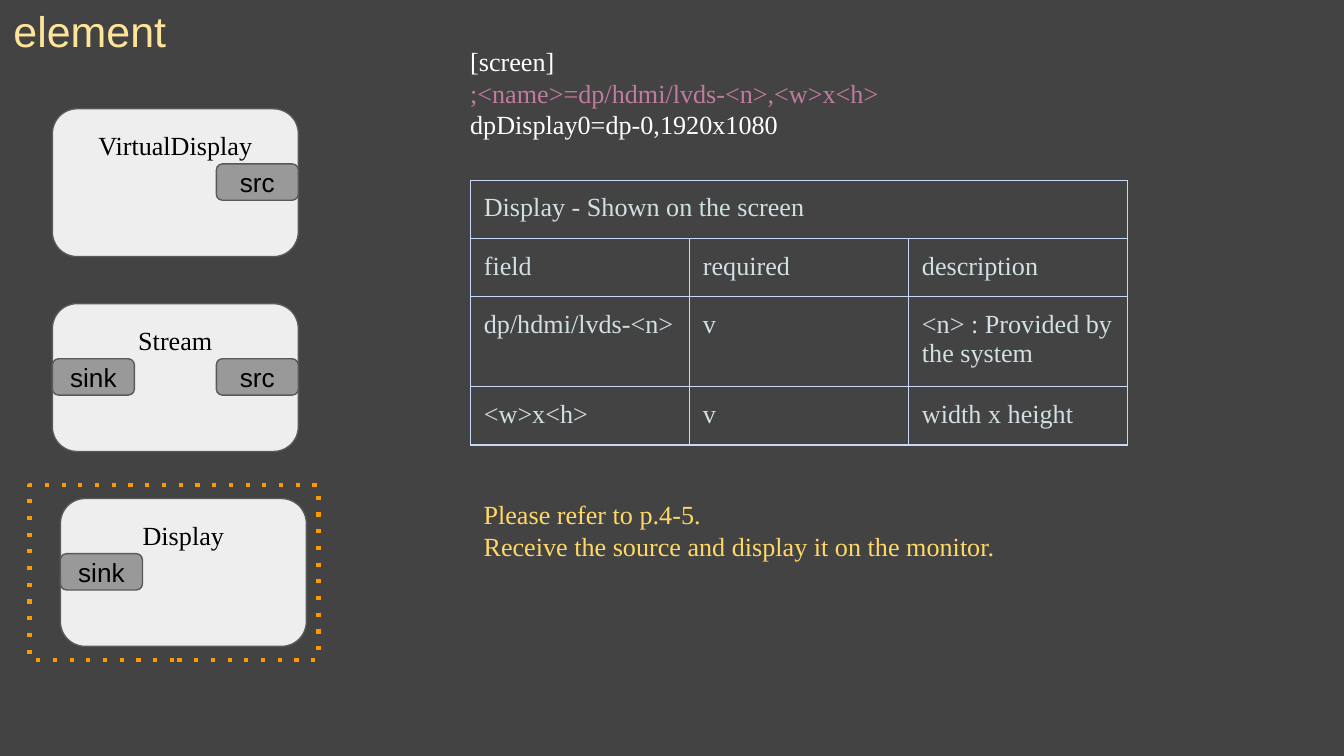
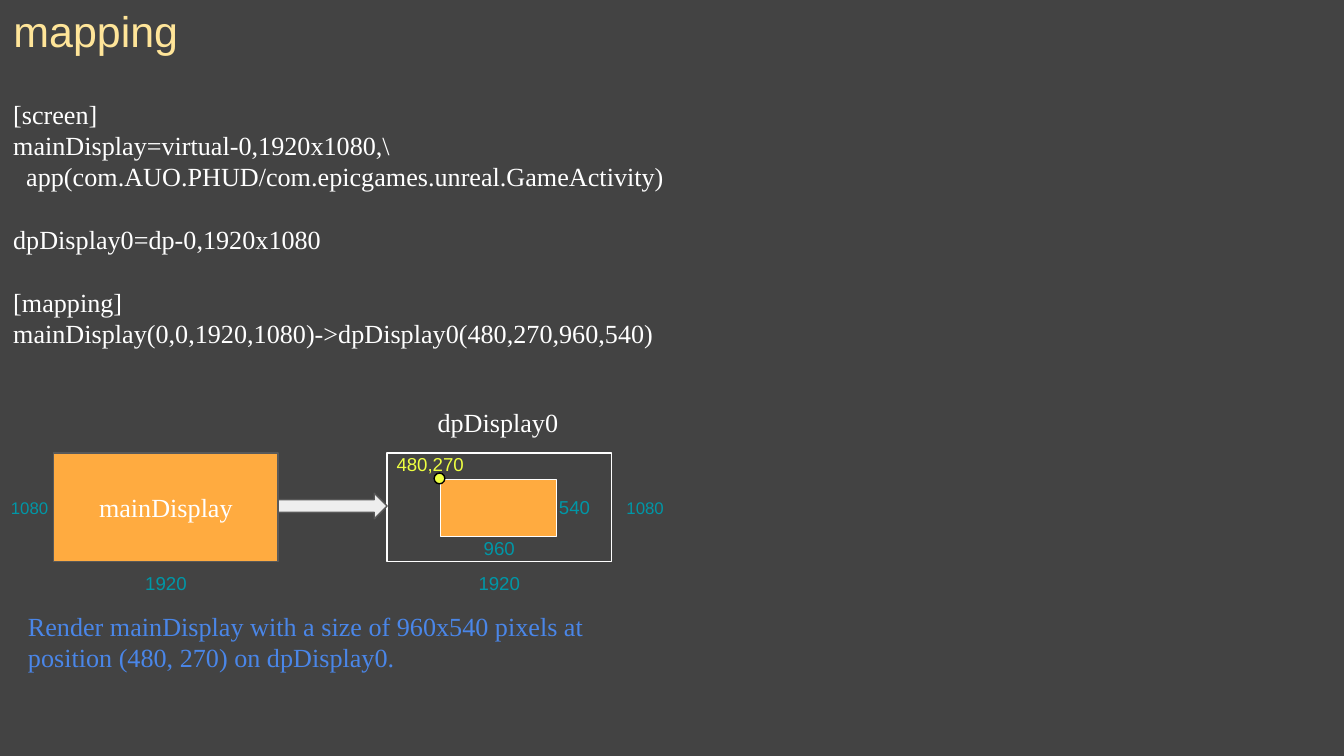
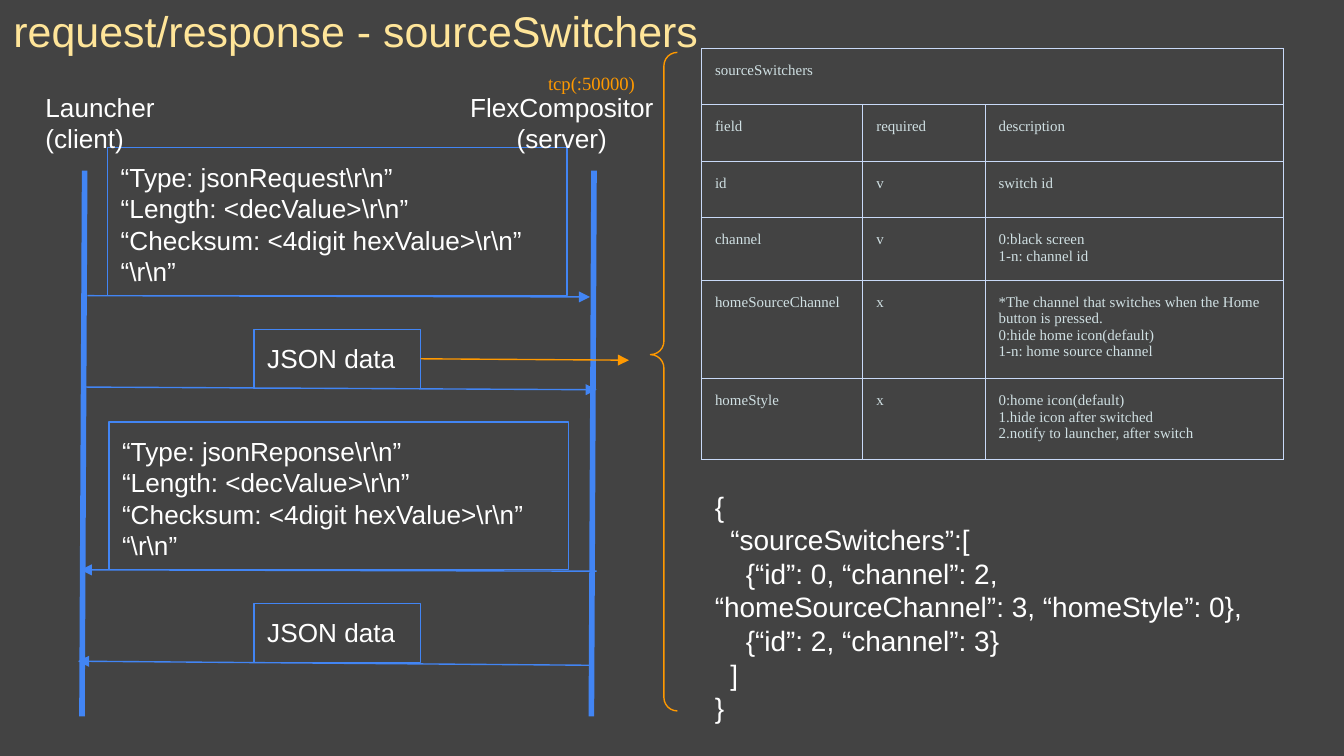
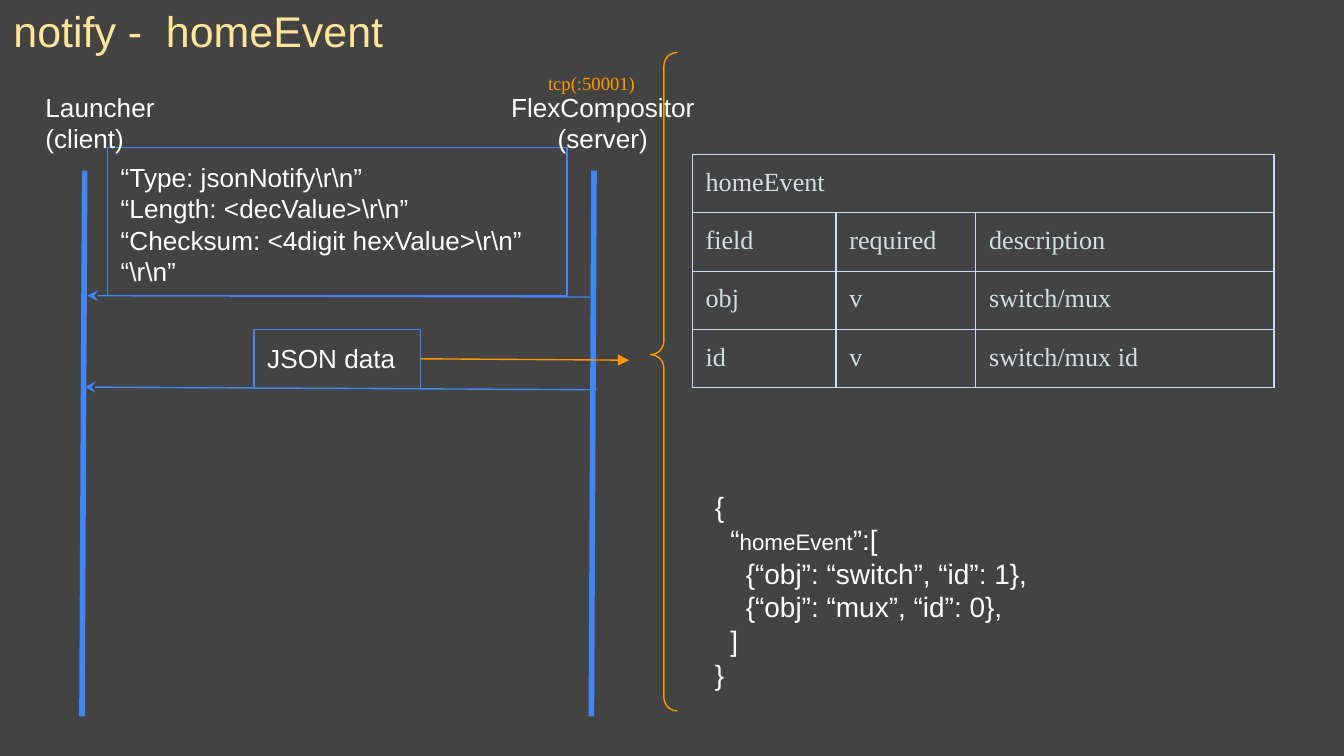
from lxml.etree import SubElement
from pptx import Presentation
from pptx.dml.color import RGBColor
from pptx.enum.shapes import MSO_CONNECTOR, MSO_SHAPE
from pptx.enum.text import MSO_ANCHOR, PP_ALIGN
from pptx.oxml.ns import qn
from pptx.util import Inches, Pt

SANS, SERIF = "Arial", "Times New Roman"
WHITE, BLACK, BACKDROP = "FFFFFF", "000000", "434343"
TITLE_YELLOW, NOTE_YELLOW, POINT_YELLOW = "FFE599", "FFD966", "EEFF41"
LIGHT, GREY, OUTLINE = "EEEEEE", "999999", "595959"
AMBER, ORANGE, PINK = "FFAB40", "FF9900", "C27BA0"
BLUE, CAPTION_BLUE, TEAL = "4285F4", "4A86E8", "0097A7"
TABLE_TEXT, TABLE_RULE = "D0E0E3", "C9DAF8"
LEFT, CENTER = PP_ALIGN.LEFT, PP_ALIGN.CENTER
TOP, MIDDLE = MSO_ANCHOR.TOP, MSO_ANCHOR.MIDDLE
MARGINS = {f"margin_{side}": Inches(0.1)
           for side in ("left", "right", "top", "bottom")}


def rgb(hex_color):
    return RGBColor.from_string(hex_color)


def apply(target, values):
    for name, value in values.items():
        setattr(target, name, value)


def inches(*lengths):
    return [Inches(length) for length in lengths]


# ---- Text ----

def write(frame, lines, size=14, font=SANS, color=WHITE, align=LEFT,
          anchor=TOP, gaps=()):
    """Each line is a string or a list of (text, size, color) runs.

    Lines whose index is in gaps stand one line lower.
    """
    apply(frame, {**MARGINS, "word_wrap": True, "vertical_anchor": anchor})
    for index, line in enumerate(lines):
        paragraph = frame.paragraphs[0] if index == 0 else frame.add_paragraph()
        apply(paragraph, {"alignment": align, "line_spacing": 1.0})
        if index in gaps:
            paragraph.space_before = Pt(size * 1.2)
        runs = [(line, size, color)] if isinstance(line, str) else line
        for text, run_size, run_color in runs:
            run = paragraph.add_run()
            run.text = text
            apply(run.font, {"size": Pt(run_size), "name": font})
            run.font.color.rgb = rgb(run_color)


def add_text(slide, box, lines, **style):
    write(slide.shapes.add_textbox(*inches(*box)).text_frame, lines, **style)


def add_titled_slide(prs, title, width):
    slide = prs.slides.add_slide(prs.slide_layouts[5])
    heading = slide.shapes.title
    apply(heading, dict(zip(("left", "top", "width", "height"),
                            inches(0, 0, width, 0.45))))
    write(heading.text_frame, [title], size=23, color=TITLE_YELLOW, anchor=MIDDLE)
    return slide


# ---- Shapes and lines ----

def add_line_detail(shape, tag, **attributes):
    outline = shape._element.spPr.find(qn("a:ln"))
    SubElement(outline, qn(tag), **attributes)


def set_outline(shape, color, width):
    shape.line.color.rgb = rgb(color)
    shape.line.width = Pt(width)


def add_block(slide, kind, box, fill=None, outline=OUTLINE, width=0.75, adjust=()):
    block = slide.shapes.add_shape(kind, *inches(*box))
    block.shadow.inherit = False
    for index, value in enumerate(adjust):
        block.adjustments[index] = value
    if fill:
        block.fill.solid()
        block.fill.fore_color.rgb = rgb(fill)
    else:
        block.fill.background()
    set_outline(block, outline, width)
    return block


def add_line(slide, start, end, color=BLUE, width=0.75, arrow=None):
    line = slide.shapes.add_connector(MSO_CONNECTOR.STRAIGHT,
                                      *inches(*start, *end))
    set_outline(line, color, width)
    if arrow:
        add_line_detail(line, "a:tailEnd", type=arrow)
    SubElement(line._element.spPr, qn("a:effectLst"))
    return line


# ---- Tables ----

def format_cell(cell):
    properties = cell._tc.get_or_add_tcPr()
    for side in ("L", "R", "T", "B"):
        border = SubElement(properties, qn(f"a:ln{side}"), w=str(Pt(0.75)))
        fill = SubElement(border, qn("a:solidFill"))
        SubElement(fill, qn("a:srgbClr"), val=TABLE_RULE)
    cell.fill.background()
    apply(cell, MARGINS)


def add_field_table(slide, corner, widths, heights, caption, fields, size=14):
    rows = [(caption, "", ""), ("field", "required", "description"), *fields]
    box = inches(*corner, sum(widths), sum(heights))
    table = slide.shapes.add_table(len(rows), len(widths), *box).table
    apply(table, {"first_row": False, "horz_banding": False})
    for column, width in zip(table.columns, widths):
        column.width = Inches(width)
    for row, height, texts in zip(table.rows, heights, rows):
        row.height = Inches(height)
        for cell, text in zip(row.cells, texts):
            format_cell(cell)
            if text:
                write(cell.text_frame, text.split("\n"), size=size, font=SERIF,
                      color=TABLE_TEXT)
    table.cell(0, 0).merge(table.cell(0, len(widths) - 1))


# ---- Element cards ----

def add_element_card(slide, left, top, name, ports):
    card = add_block(slide, MSO_SHAPE.ROUNDED_RECTANGLE, (left, top, 1.83, 1.1),
                     LIGHT, adjust=[0.167])
    write(card.text_frame, [name], font=SERIF, color=BLACK, align=CENTER)
    for port_name in ports:
        port_left = left + (1.22 if port_name == "src" else 0)
        port = add_block(slide, MSO_SHAPE.ROUNDED_RECTANGLE,
                         (port_left, top + 0.41, 0.61, 0.27), GREY, adjust=[0.167])
        write(port.text_frame, [port_name], color=BLACK, align=CENTER, anchor=MIDDLE)


def build_element(prs):
    slide = add_titled_slide(prs, "element", 2.15)
    cards = [(0.39, "VirtualDisplay", ["src"]),
             (0.39, "Stream", ["sink", "src"]),
             (0.45, "Display", ["sink"])]
    for index, (left, name, ports) in enumerate(cards):
        add_element_card(slide, left, 0.81 + 1.45 * index, name, ports)

    # Dotted frame around the element described here
    highlight = add_block(slide, MSO_SHAPE.RECTANGLE, (0.22, 3.61, 2.15, 1.3),
                          outline=ORANGE, width=2.25)
    add_line_detail(highlight, "a:prstDash", val="dot")

    add_text(slide, (3.4, 0.24, 6.26, 0.91),
             ["[screen]", [(";<name>=dp/hdmi/lvds-<n>,<w>x<h>", 14, PINK)],
              "dpDisplay0=dp-0,1920x1080"], font=SERIF)
    add_field_table(slide, (3.5, 1.34), [1.63] * 3, [0.43, 0.43, 0.67, 0.43],
                    "Display - Shown on the screen",
                    [("dp/hdmi/lvds-<n>", "v", "<n> : Provided by the system"),
                     ("<w>x<h>", "v", "width x height")])
    add_text(slide, (3.5, 3.61, 5.9, 0.67),
             ["Please refer to p.4-5.",
              "Receive the source and display it on the monitor."],
             font=SERIF, color=NOTE_YELLOW)


# ---- Mapping ----

def build_mapping(prs):
    slide = add_titled_slide(prs, "mapping", 2.15)
    add_text(slide, (0, 0.63, 6.83, 2.09),
             ["[screen]",
              "mainDisplay=virtual-0,1920x1080,\\",
              "  app(com.AUO.PHUD/com.epicgames.unreal.GameActivity)",
              "dpDisplay0=dp-0,1920x1080",
              "[mapping]",
              "mainDisplay(0,0,1920,1080)->dpDisplay0(480,270,960,540)"],
             font=SERIF, gaps=(3, 4))

    # Source display, target display and the area rendered on it
    source = add_block(slide, MSO_SHAPE.RECTANGLE, (0.4, 3.37, 1.67, 0.81), AMBER)
    write(source.text_frame, ["mainDisplay"], font=SERIF, align=CENTER, anchor=MIDDLE)
    add_block(slide, MSO_SHAPE.RECTANGLE, (2.88, 3.37, 1.67, 0.81), outline=WHITE)
    add_block(slide, MSO_SHAPE.RECTANGLE, (3.28, 3.57, 0.86, 0.42), AMBER, WHITE)
    add_block(slide, MSO_SHAPE.RIGHT_ARROW, (2.07, 3.67, 0.81, 0.19), LIGHT)

    # Dimensions
    for left, top, text in [(0.92, 4.18, "1920"), (3.4, 4.18, "1920"),
                            (3.4, 3.92, "960"), (3.96, 3.62, "540")]:
        add_text(slide, (left, top, 0.63, 0.31), [text], size=10, color=TEAL,
                 align=CENTER, anchor=MIDDLE)
    for left in (-0.04, 4.54):
        add_text(slide, (left, 3.59, 0.52, 0.38), ["1080"], size=9, color=TEAL,
                 align=CENTER, anchor=MIDDLE)

    # Position of the rendered area
    add_block(slide, MSO_SHAPE.OVAL, (3.23, 3.52, 0.08, 0.08), POINT_YELLOW, BLACK)
    add_text(slide, (2.84, 3.26, 0.72, 0.38), ["480,270"], size=10,
             color=POINT_YELLOW, align=CENTER, anchor=MIDDLE)

    add_text(slide, (3.1, 2.92, 1.21, 0.44), ["dpDisplay0"], font=SERIF,
             align=CENTER, anchor=MIDDLE)
    add_text(slide, (0.11, 4.44, 4.34, 0.67),
             ["Render mainDisplay with a size of 960x540 pixels at position "
              "(480, 270) on dpDisplay0."], font=SERIF, color=CAPTION_BLUE)


# ---- Client and server sequences ----

def add_message(slide, left, top, message_type):
    """Header box and JSON box of one message; returns the JSON box."""
    header = add_block(slide, MSO_SHAPE.RECTANGLE, (left, top, 3.42, 1.1), outline=BLUE)
    write(header.text_frame, [f"“Type: {message_type}\\r\\n”",
                              "“Length: <decValue>\\r\\n”",
                              "“Checksum: <4digit hexValue>\\r\\n”",
                              "“\\r\\n”"])
    payload = add_block(slide, MSO_SHAPE.RECTANGLE, (1.89, top + 1.35, 1.24, 0.44),
                        outline=BLUE)
    write(payload.text_frame, ["JSON data"])
    return payload


def add_sequence(slide, message_type, port, server_left, server_width, json_lines):
    payload = add_message(slide, 0.8, 1.1, message_type)
    add_text(slide, (0.24, 0.58, 1.07, 0.69), ["Launcher", "(client)"])
    add_text(slide, (server_left, 0.58, server_width, 0.69),
             ["FlexCompositor", "(server)"], align=CENTER)
    for lifeline in (0.63, 4.42):
        add_line(slide, (lifeline, 1.27), (lifeline - 0.02, 5.33), width=3)

    # Payload detail
    detail = add_line(slide, (3.13, 2.67), (4.68, 2.68), ORANGE, arrow="triangle")
    detail.begin_connect(payload, 3)
    add_block(slide, MSO_SHAPE.LEFT_BRACE, (4.84, 0.39, 0.2, 4.9),
              outline=ORANGE, adjust=[0.5, 0.459])
    add_text(slide, (3.98, 0.45, 0.86, 0.31), [f"tcp(:{port})"], size=10,
             font=SERIF, color=ORANGE)
    add_text(slide, (5.22, 3.54, 4.33, 1.83), json_lines, size=15)


def build_source_switchers(prs):
    slide = add_titled_slide(prs, "request/response - sourceSwitchers", 5.59)
    add_sequence(slide, "jsonRequest", 50000, 3.32, 1.72,
                 ["{",
                  "  “sourceSwitchers”:[",
                  "    {“id”: 0, “channel”: 2, “homeSourceChannel”: 3, “homeStyle”: 0},",
                  "    {“id”: 2, “channel”: 3}",
                  "  ]",
                  "}"])
    add_message(slide, 0.81, 3.14, "jsonReponse")
    for start, end in [((0.65, 2.2), (4.39, 2.21)), ((0.63, 2.88), (4.44, 2.9)),
                       ((4.44, 4.25), (0.6, 4.24)), ((4.39, 4.95), (0.58, 4.92))]:
        add_line(slide, start, end, arrow="triangle")
    add_field_table(slide, (5.22, 0.36), [1.2, 0.91, 2.22],
                    [0.42, 0.42, 0.42, 0.46, 0.73, 0.6], "sourceSwitchers",
                    [("id", "v", "switch id"),
                     ("channel", "v", "0:black screen\n1-n: channel id"),
                     ("homeSourceChannel", "x",
                      "*The channel that switches when the Home button is pressed.\n"
                      "0:hide home icon(default)\n1-n: home source channel"),
                     ("homeStyle", "x",
                      "0:home icon(default)\n1.hide icon after switched\n"
                      "2.notify to launcher, after switch")], size=8)


def build_home_event(prs):
    slide = add_titled_slide(prs, "notify -  homeEvent", 4.61)
    add_sequence(slide, "jsonNotify", 50001, 3.59, 1.79,
                 ["{",
                  [("  “", 15, WHITE), ("homeEvent", 12, WHITE), ("”:[", 15, WHITE)],
                  "    {“obj”: “switch”, “id”: 1},",
                  "    {“obj”: “mux”, “id”: 0},",
                  "  ]",
                  "}"])
    for start, end in [((4.39, 2.21), (0.65, 2.2)), ((4.44, 2.9), (0.63, 2.88))]:
        add_line(slide, start, end, arrow="stealth")
    add_field_table(slide, (5.15, 1.15), [1.07, 1.04, 2.22], [0.43] * 4, "homeEvent",
                    [("obj", "v", "switch/mux"), ("id", "v", "switch/mux id")])


def main():
    prs = Presentation()
    prs.slide_width = Inches(10)
    prs.slide_height = prs.slide_width * 9 // 16
    backdrop = prs.slide_master.background.fill
    backdrop.solid()
    backdrop.fore_color.rgb = rgb(BACKDROP)
    for build in (build_element, build_mapping, build_source_switchers,
                  build_home_event):
        build(prs)
    prs.save("out.pptx")


if __name__ == "__main__":
    main()
